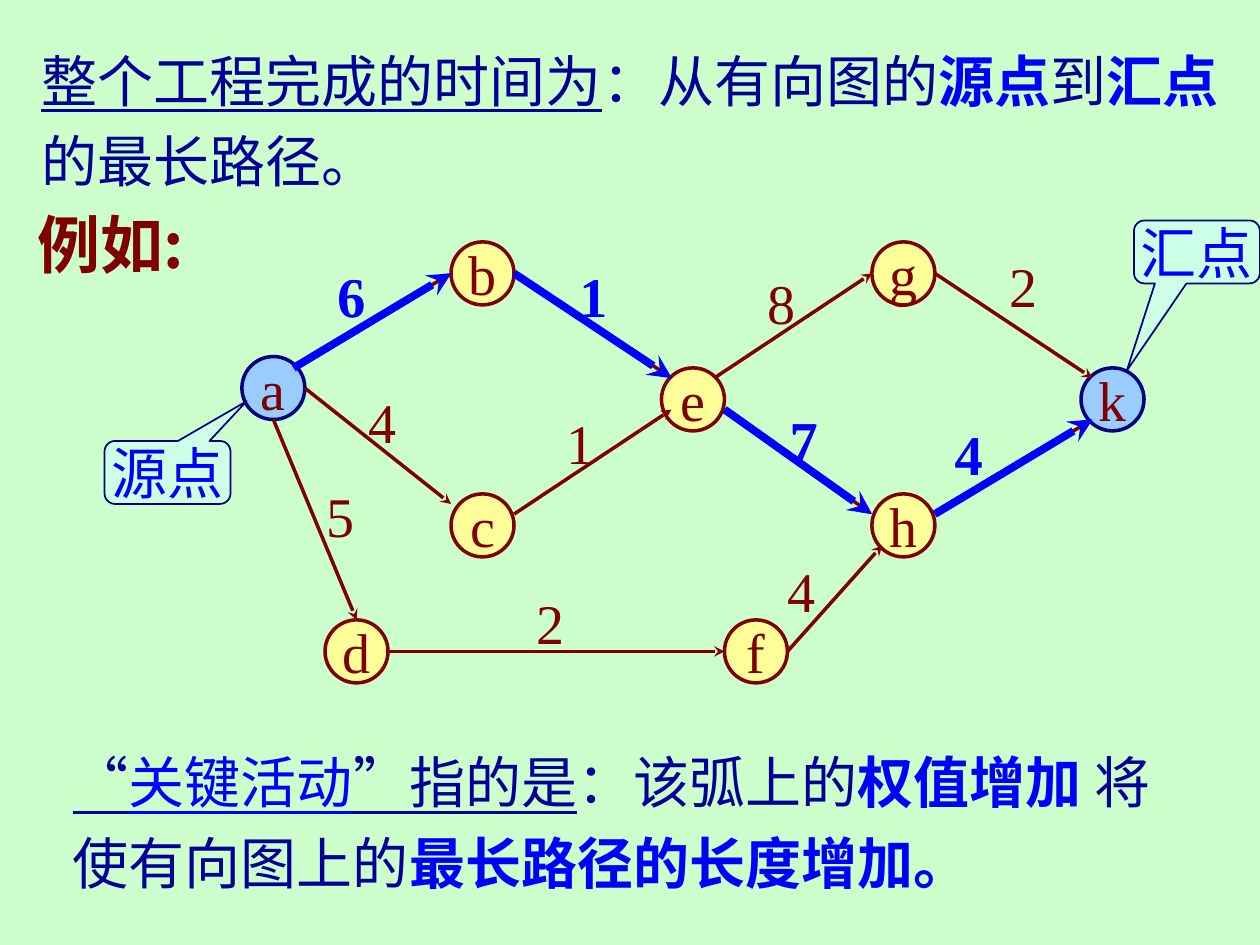
from typing import NamedTuple

from lxml import etree
from pptx import Presentation
from pptx import util as u
from pptx.dml.color import RGBColor
from pptx.enum import shapes, text
from pptx.oxml.ns import qn

COLORS = {
    "background": "CCFFCC", "maroon": "800000", "navy": "000080",
    "body": "000099", "blue": "0000FF", "yellow": "FFFF99",
    "sky": "99CCFF", "callout": "CCFFFF",
}
LATIN, CJK = "Times New Roman", "Noto Sans CJK SC"
NODE_SIZE = 0.5


class Node(NamedTuple):
    label: str
    left: float
    top: float
    terminal: bool = False


class Edge(NamedTuple):
    start: tuple[float, float]
    end: tuple[float, float]
    weight: str
    weight_at: tuple[float, float]
    critical: bool = False


class Callout(NamedTuple):
    label: str
    left: float
    top: float
    tip: tuple[float, float]


class Run(NamedTuple):
    words: str
    color: str = "body"
    bold: bool = False
    underline: bool = False


NODES = [
    Node("a", 1.92, 2.83, True), Node("b", 3.58, 1.92), Node("c", 3.58, 3.92),
    Node("d", 2.58, 4.92), Node("e", 5.25, 2.92), Node("f", 5.75, 4.92),
    Node("g", 6.92, 1.92), Node("h", 6.92, 3.92), Node("k", 8.58, 2.92, True),
]
EDGES = [
    Edge((2.33, 2.92), (3.58, 2.17), "6", (2.58, 2.03), True),
    Edge((2.42, 3.08), (3.58, 4), "4", (2.83, 3.03)),
    Edge((4.08, 4.08), (5.33, 3.25), "1", (4.4, 3.19)),
    Edge((4.08, 2.17), (5.33, 3), "1", (4.5, 2.03), True),
    Edge((5.67, 3), (6.92, 2.17), "8", (5.99, 2.08)),
    Edge((7.42, 2.17), (8.67, 3), "2", (7.91, 1.95)),
    Edge((7.42, 4.08), (8.67, 3.33), "4", (7.48, 3.28), True),
    Edge((5.75, 3.25), (6.92, 4.08), "7", (6.17, 3.17), True),
    Edge((2.17, 3.33), (2.83, 4.92), "5", (2.49, 3.77)),
    Edge((3.08, 5.17), (5.75, 5.17), "2", (4.16, 4.62)),
    Edge((6.25, 5.17), (7, 4.33), "4", (6.15, 4.37)),
]
CALLOUTS = [
    Callout("源点", 0.83, 3.5, (0.628, -1.132)),
    Callout("汇点", 9, 1.75, (-0.557, 1.885)),
]
DEFINITION = [
    Run("整个工程完成的时间为", underline=True), Run("：从有向图的"),
    Run("源点", "blue", True), Run("到"), Run("汇点", "blue", True),
    Run("的最长路径。"),
]
KEY_ACTIVITY = [
    Run("“", underline=True), Run("关键活动", "blue", underline=True),
    Run("”指的是", underline=True), Run("：该弧上的"),
    Run("权值增加 ", "blue", True), Run("将使有向图上的"),
    Run("最长路径的长度增加。", "blue", True),
]


def rgb(name: str) -> RGBColor:
    return RGBColor.from_string(COLORS[name])


def write(frame, runs: list[Run], *, size=32, font=LATIN, wrap=False,
          centered=False, spacing=None) -> None:
    """Fill a text frame with one paragraph of formatted runs."""
    frame.word_wrap = wrap
    paragraph = frame.paragraphs[0]
    if centered:
        frame.vertical_anchor = text.MSO_ANCHOR.MIDDLE
    paragraph.alignment = text.PP_ALIGN.CENTER if centered else text.PP_ALIGN.LEFT
    if spacing:
        paragraph.line_spacing = spacing
    for part in runs:
        run = paragraph.add_run()
        run.text = part.words
        run.font.name, run.font.size = font, u.Pt(size)
        run.font.bold, run.font.underline = part.bold, part.underline
        run.font.color.rgb = rgb(part.color)
        properties = run.font._element
        etree.SubElement(properties, qn("a:ea"), typeface=CJK)


def add_text(slide, box: tuple[float, float, float, float],
             runs: list[Run], **style) -> None:
    frame = slide.shapes.add_textbox(*map(u.Inches, box)).text_frame
    frame.auto_size = text.MSO_AUTO_SIZE.SHAPE_TO_FIT_TEXT
    write(frame, runs, **style)


def add_outlined(slide, preset, box, fill: str, line: str, width: float):
    shape = slide.shapes.add_shape(preset, *map(u.Inches, box))
    shape.shadow.inherit = False
    shape.fill.solid()
    shape.fill.fore_color.rgb = rgb(fill)
    shape.line.color.rgb = rgb(line)
    shape.line.width = u.Pt(width)
    return shape


def add_node(slide, node: Node) -> None:
    fill, line = ("sky", "navy") if node.terminal else ("yellow", "maroon")
    circle = add_outlined(slide, shapes.MSO_SHAPE.OVAL,
                          (node.left, node.top, NODE_SIZE, NODE_SIZE), fill, line, 2)
    write(circle.text_frame, [Run(node.label, "maroon")], centered=True)


def add_arrow(slide, edge: Edge, color: str, width: float) -> None:
    arrow = slide.shapes.add_connector(
        shapes.MSO_CONNECTOR.STRAIGHT, *map(u.Inches, edge.start + edge.end))
    arrow.line.color.rgb = rgb(color)
    arrow.line.width = u.Pt(width)
    etree.SubElement(arrow.line._get_or_add_ln(), qn("a:tailEnd"), type="stealth")
    etree.SubElement(arrow._element.spPr, qn("a:effectLst"))


def add_weight(slide, edge: Edge, color: str, bold: bool = False) -> None:
    add_text(slide, (*edge.weight_at, 0.42, 0.63), [Run(edge.weight, color, bold)])


def add_callout(slide, callout: Callout) -> None:
    bubble = add_outlined(slide, shapes.MSO_SHAPE.ROUNDED_RECTANGULAR_CALLOUT,
                          (callout.left, callout.top, 1, 0.5), "callout", "navy", 1)
    for index, value in enumerate((*callout.tip, 0.167)):
        bubble.adjustments[index] = value
    fill_color = bubble._element.spPr.find(qn("a:solidFill"))[0]
    etree.SubElement(fill_color, qn("a:alpha"), val="50000")
    write(bubble.text_frame, [Run(callout.label, "blue")], centered=True)


def main() -> None:
    deck = Presentation()
    deck.slide_width, deck.slide_height = u.Inches(10), u.Inches(7.5)
    slide = deck.slides.add_slide(deck.slide_layouts[6])
    slide.background.fill.solid()
    slide.background.fill.fore_color.rgb = rgb("background")
    critical_path = [edge for edge in EDGES if edge.critical]

    # Network: nodes, arcs and weights
    for node in NODES:
        add_node(slide, node)
    for edge in EDGES:
        add_arrow(slide, edge, "maroon", 2)
    for edge in EDGES:
        add_weight(slide, edge, "maroon")

    # Critical path over the network
    for edge in critical_path:
        add_arrow(slide, edge, "blue", 4.5)

    # Explanations
    add_text(slide, (0.2, 1.58, 1.46, 0.7), [Run("例如:", "maroon", True)],
             size=36, font=CJK)
    add_text(slide, (0.48, 5.78, 9.18, 1.38), KEY_ACTIVITY, wrap=True, spacing=1.2)
    add_text(slide, (0.23, 0.21, 9.6, 1.38), DEFINITION, wrap=True, spacing=1.2)

    # Source and sink callouts, then the critical weights
    for callout in CALLOUTS:
        add_callout(slide, callout)
    for edge in critical_path:
        add_weight(slide, edge, "blue", bold=True)

    deck.save("out.pptx")


if __name__ == "__main__":
    main()
